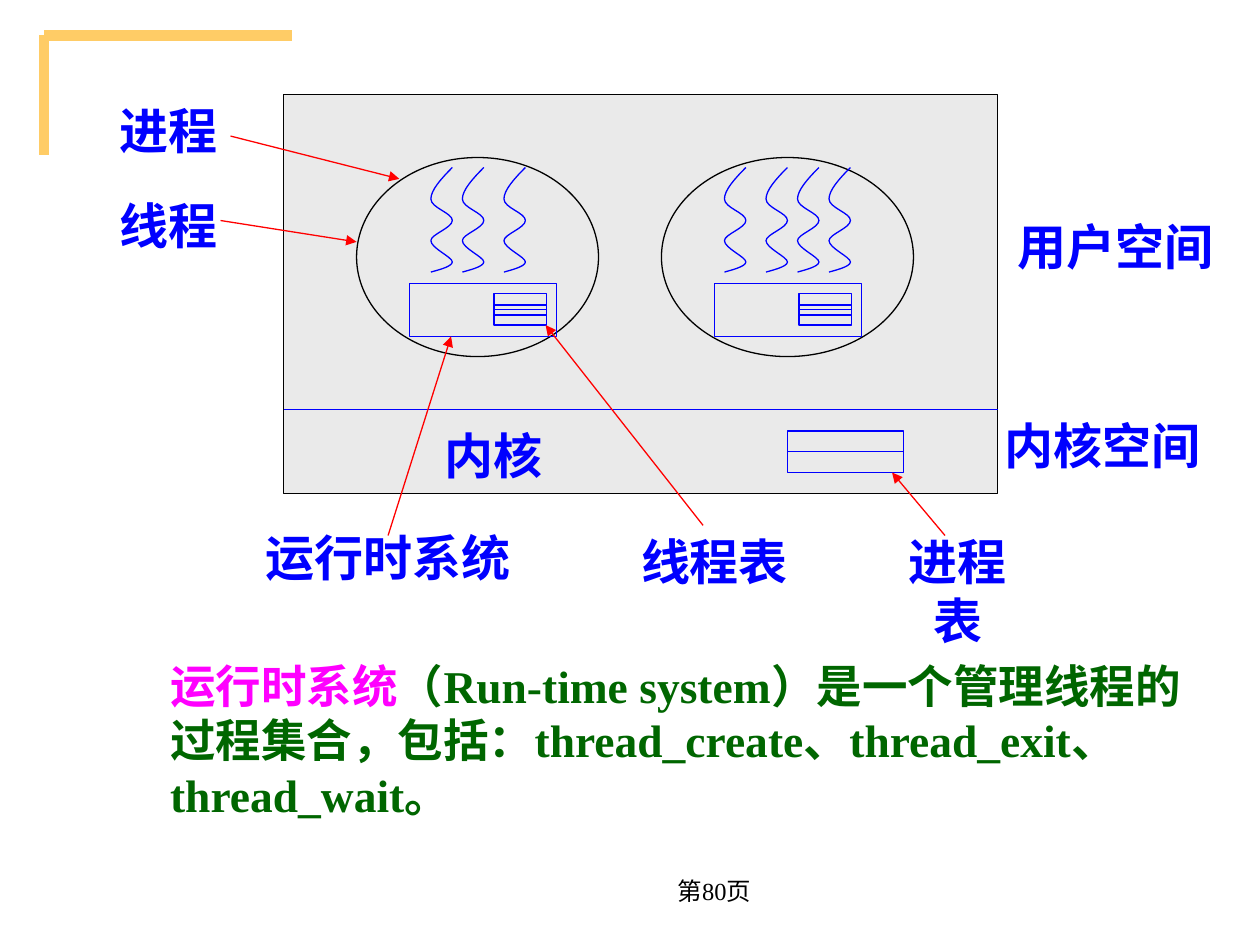
from pptx import Presentation
from pptx.dml.color import RGBColor
from pptx.enum.shapes import MSO_CONNECTOR, MSO_SHAPE
from pptx.enum.text import MSO_ANCHOR, MSO_AUTO_SIZE, PP_ALIGN
from pptx.oxml.ns import qn
from pptx.util import Inches, Pt
from lxml import etree

RECTANGLE, ELLIPSE = MSO_SHAPE.RECTANGLE, MSO_SHAPE.OVAL
STRAIGHT = MSO_CONNECTOR.STRAIGHT
CENTER, RIGHT, LEFT = PP_ALIGN.CENTER, PP_ALIGN.RIGHT, PP_ALIGN.LEFT
TOP, MIDDLE = MSO_ANCHOR.TOP, MSO_ANCHOR.MIDDLE
GROW = MSO_AUTO_SIZE.SHAPE_TO_FIT_TEXT
LEFT_SIDE, RIGHT_SIDE = 1, 3

COLORS = {
    "black": "000000", "blue": "0000FF", "red": "FF0000", "green": "006600",
    "magenta": "FF00FF", "gold": "FFCC66", "gray": "EAEAEA",
}
WAVE = [
    (0.17, 0),
    (0.08, 0.09), (0, 0.18), (0, 0.25),
    (0, 0.32), (0.17, 0.36), (0.17, 0.42),
    (0.17, 0.48), (0, 0.53), (0, 0.58),
    (0, 0.64), (0.17, 0.71), (0.17, 0.75),
    (0.17, 0.79), (0.03, 0.82), (0, 0.83),
]


class Diagram:
    font = "Times New Roman"
    thin = 0.75

    def __init__(self, page):
        self.page = page
        self.shapes = page.shapes

    def color(self, name):
        return RGBColor.from_string(COLORS[name])

    def stroke(self, item, color, width=thin):
        item.line.color.rgb = self.color(color)
        item.line.width = Pt(width)

    def span(self, para, text, size, color, bold=True):
        span = para.add_run()
        span.text = text
        span.font.name = self.font
        span.font.size = Pt(size)
        span.font.bold = bold
        span.font.color.rgb = self.color(color)

    def shape(self, kind, left, top, width, height, line, fill=None):
        shape = self.shapes.add_shape(
            kind, Inches(left), Inches(top), Inches(width), Inches(height))
        shape.shadow.inherit = False
        if fill:
            shape.fill.solid()
            shape.fill.fore_color.rgb = self.color(fill)
        else:
            shape.fill.background()
        self.stroke(shape, line)
        return shape

    def line(self, start, end, color, width=thin, arrow=False):
        line = self.shapes.add_connector(
            STRAIGHT, Inches(start[0]), Inches(start[1]), Inches(end[0]), Inches(end[1]))
        self.stroke(line, color, width)
        if arrow:
            outline = line.line._get_or_add_ln()
            etree.SubElement(outline, qn("a:tailEnd"), type="triangle")
        etree.SubElement(line._element.spPr, qn("a:effectLst"))
        return line

    def split_box(self, left, top, width, height):
        box = self.shape(RECTANGLE, left, top, width, height, "blue")
        middle = top + height / 2
        line = self.line((left, middle), (left + width, middle), "blue")
        line.begin_connect(box, LEFT_SIDE)
        line.end_connect(box, RIGHT_SIDE)

    def runtime_system(self, left):
        self.shape(RECTANGLE, left, 2.25, 1.17, 0.42, "blue")
        table = left + 0.67
        self.split_box(table, 2.33, 0.42, 0.25)
        for y in (2.42, 2.5):
            self.line((table, y), (table + 0.42, y), "blue")

    def thread(self, left, top=1.33):
        points = [(Inches(left + x), Inches(top + y)) for x, y in WAVE]
        builder = self.shapes.build_freeform(*points[0])
        builder.add_line_segments(points[1:], close=False)
        wave = builder.convert_to_shape()
        wave.shadow.inherit = False
        wave.fill.background()
        self.stroke(wave, "blue")
        segments = list(wave._element.iter(qn("a:lnTo")))
        for first, second, third in zip(*[iter(segments)] * 3):
            first.tag = qn("a:cubicBezTo")
            for segment in (second, third):
                first.append(segment[0])
                segment.getparent().remove(segment)

    def text(self, text, left, top, width, height, size=28, color="blue", bold=True,
             align=CENTER, anchor=TOP, wrap=True, spacing=None):
        box = self.shapes.add_textbox(
            Inches(left), Inches(top), Inches(width), Inches(height))
        frame = box.text_frame
        frame.word_wrap = wrap
        frame.vertical_anchor = anchor
        if anchor == TOP:
            frame.auto_size = GROW
        para = frame.paragraphs[0]
        para.alignment = align
        para.line_spacing = spacing
        self.span(para, text, size, color, bold)

    def body(self, spans, left, top, width, height, indent):
        box = self.page.placeholders[1]
        box.left, box.top = Inches(left), Inches(top)
        box.width, box.height = Inches(width), Inches(height)
        para = box.text_frame.paragraphs[0]
        properties = para._p.get_or_add_pPr()
        properties.set("marL", str(Inches(indent)))
        properties.set("indent", "0")
        etree.SubElement(properties, qn("a:buNone"))
        para.alignment = LEFT
        para.space_before = Pt(0)
        for text, color in spans:
            self.span(para, text, 26, color)


def main():
    deck = Presentation()
    deck.slide_width, deck.slide_height = Inches(10), Inches(7.5)
    page = deck.slides.add_slide(deck.slide_layouts[1])
    title = page.shapes.title._element
    title.getparent().remove(title)
    diagram = Diagram(page)

    for end in ((2.32, 0.28), (0.35, 1.23)):
        diagram.line((0.35, 0.28), end, "gold", 6)

    diagram.text("第80页", 3.98, 6.82, 2.08, 0.5, size=14, color="black",
                 bold=False, align=RIGHT, anchor=MIDDLE)
    diagram.body([
        ("运行时系统", "magenta"),
        ("（Run-time system）是一个管理线程的过程集合，包括：thread_create、"
         "thread_exit、thread_wait。", "green"),
    ], 0.58, 5.17, 8.92, 1.75, indent=0.67)

    diagram.shape(RECTANGLE, 2.25, 0.75, 5.67, 3.17, "black", "gray")
    diagram.line((2.25, 3.25), (7.92, 3.25), "blue")
    diagram.split_box(6.25, 3.42, 0.92, 0.33)

    processes = [
        (2.83, 1.92, 3.25, (3.42, 3.67, 4)),
        (5.25, 2, 5.67, (5.75, 6.08, 6.33, 6.58)),
    ]
    for left, width, runtime, threads in processes:
        diagram.shape(ELLIPSE, left, 1.25, width, 1.58, "black")
        diagram.runtime_system(runtime)
        for thread in threads:
            diagram.thread(thread)

    labels = [
        ("内核", 3.25, 3.33, 1.33),
        ("用户空间", 7.91, 1.67, 1.89),
        ("内核空间", 7.75, 3.25, 2),
        ("线程表", 4.92, 4.17, 1.5),
        ("进程", 0.5, 0.75, 1.67),
        ("线程", 0.83, 1.5, 1.02),
    ]
    for text, left, top, width in labels:
        diagram.text(text, left, top, width, 0.57)
    diagram.text("运行时系统", 1.33, 4.17, 3.5, 0.55, spacing=0.95)
    diagram.text("进程表", 6.92, 4.17, 1.36, 0.57, wrap=False)

    arrows = [
        ((5.58, 4.17), (4.33, 2.58)),
        ((3.08, 4.25), (3.58, 2.67)),
        ((7.5, 4.25), (7.08, 3.75)),
        ((1.83, 1.08), (3.17, 1.42)),
        ((1.75, 1.75), (2.83, 1.92)),
    ]
    for start, end in arrows:
        diagram.line(start, end, "red", arrow=True)

    deck.save("out.pptx")


if __name__ == "__main__":
    main()
